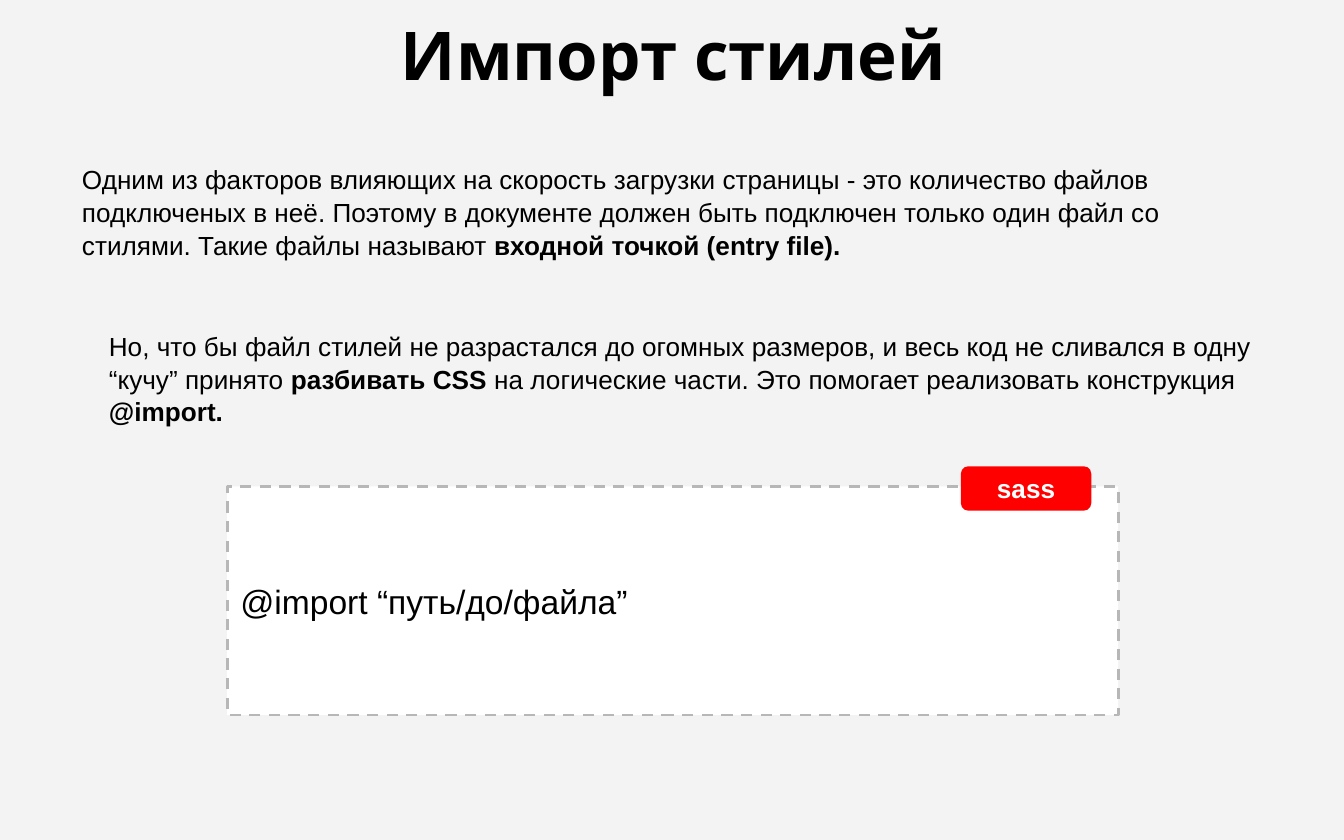
from lxml import etree
from pptx import Presentation
from pptx.dml.color import RGBColor
from pptx.enum import dml, shapes, text
from pptx.oxml.ns import qn
from pptx.util import Inches, Pt

BLACK = RGBColor(0x00, 0x00, 0x00)
WHITE = RGBColor(0xFF, 0xFF, 0xFF)
PAGE_GREY = RGBColor(0xF3, 0xF3, 0xF3)
DASH_GREY = RGBColor(0xB7, 0xB7, 0xB7)
RED = RGBColor(0xFF, 0x00, 0x00)

TWO_CONTENT = 3
LEFT, CENTER = text.PP_ALIGN.LEFT, text.PP_ALIGN.CENTER
TOP, MIDDLE = text.MSO_ANCHOR.TOP, text.MSO_ANCHOR.MIDDLE

# Each span is (wording, bold)
TITLE = [("Импорт стилей", True)]
ENTRY_FILE = [
    ("Одним из факторов влияющих на скорость загрузки страницы - это количество "
     "файлов подключеных в неё. Поэтому в документе должен быть подключен только "
     "один файл со стилями. Такие файлы называют ", False),
    ("входной точкой (entry file).", True),
]
SPLITTING = [
    ("Но, что бы файл стилей не разрастался до огомных размеров, и весь код не "
     "сливался в одну “кучу” принято ", False),
    ("разбивать CSS", True),
    (" на логические части. Это помогает реализовать конструкция ", False),
    ("@import.", True),
]
CODE = [("@import “путь/до/файла”", False)]
BADGE = [("sass", True)]


def set_all(target, values):
    for name, value in values.items():
        setattr(target, name, value)


def place(shape, box):
    names = ("left", "top", "width", "height")
    set_all(shape, {name: Inches(size) for name, size in zip(names, box)})


def write(shape, spans, size, font="Arial", color=BLACK, align=LEFT, anchor=TOP,
          spacing=1.0):
    """Fill a shape with one paragraph of plain and bold spans."""
    frame = shape.text_frame
    set_all(frame, {"word_wrap": True, "auto_size": text.MSO_AUTO_SIZE.NONE,
                    "vertical_anchor": anchor})
    set_all(frame, {f"margin_{side}": Inches(0.1)
                    for side in ("left", "top", "right", "bottom")})
    para = frame.paragraphs[0]
    set_all(para, {"alignment": align, "line_spacing": spacing,
                   "space_before": Pt(0), "space_after": Pt(0)})
    for wording, bold in spans:
        span = para.add_run()
        span.text = wording
        set_all(span.font, {"name": font, "size": Pt(size), "bold": bold})
        span.font.color.rgb = color
    return para


def add_title(page, box):
    place(page.shapes.title, box)
    write(page.shapes.title, TITLE, 36, font="Karla", align=CENTER)


def add_body(holder, box, spans):
    place(holder, box)
    para = write(holder, spans, 14, spacing=1.04)
    # No bullet and no hanging indent
    props = para._p.get_or_add_pPr()
    props.set("marL", "0")
    props.set("indent", "0")
    etree.SubElement(props, qn("a:buNone"))


def add_panel(group, kind, box, fill):
    panel = group.shapes.add_shape(kind, *(Inches(size) for size in box))
    panel.shadow.inherit = False
    panel.fill.solid()
    panel.fill.fore_color.rgb = fill
    return panel


def add_code_example(page, box):
    left, top, width, height = box
    group = page.shapes.add_group_shape()

    # Dashed code frame
    code = add_panel(group, shapes.MSO_SHAPE.RECTANGLE, box, WHITE)
    code.line.color.rgb = DASH_GREY
    set_all(code.line, {"width": Pt(1.5), "dash_style": dml.MSO_LINE.DASH})
    write(code, CODE, 18, anchor=MIDDLE)

    # Language badge over the top edge
    badge_width = 0.97
    badge_box = (left + width - badge_width - 0.2, top - 0.15, badge_width, 0.33)
    badge = add_panel(group, shapes.MSO_SHAPE.ROUNDED_RECTANGLE, badge_box, RED)
    badge.adjustments[0] = 0.167
    badge.line.fill.background()
    write(badge, BADGE, 14, color=WHITE, align=CENTER, anchor=MIDDLE)


def main():
    deck = Presentation()
    set_all(deck, {"slide_width": Inches(10), "slide_height": Inches(6.25)})
    page = deck.slides.add_slide(deck.slide_layouts[TWO_CONTENT])
    page.background.fill.solid()
    page.background.fill.fore_color.rgb = PAGE_GREY

    add_title(page, (0.03, 0, 9.96, 0.84))
    add_body(page.placeholders[1], (0.51, 1.11, 8.99, 0.98), ENTRY_FILE)
    add_body(page.placeholders[2], (0.71, 2.35, 8.78, 1.12), SPLITTING)
    add_code_example(page, (1.69, 3.62, 6.63, 1.7))
    deck.save("out.pptx")


if __name__ == "__main__":
    main()
